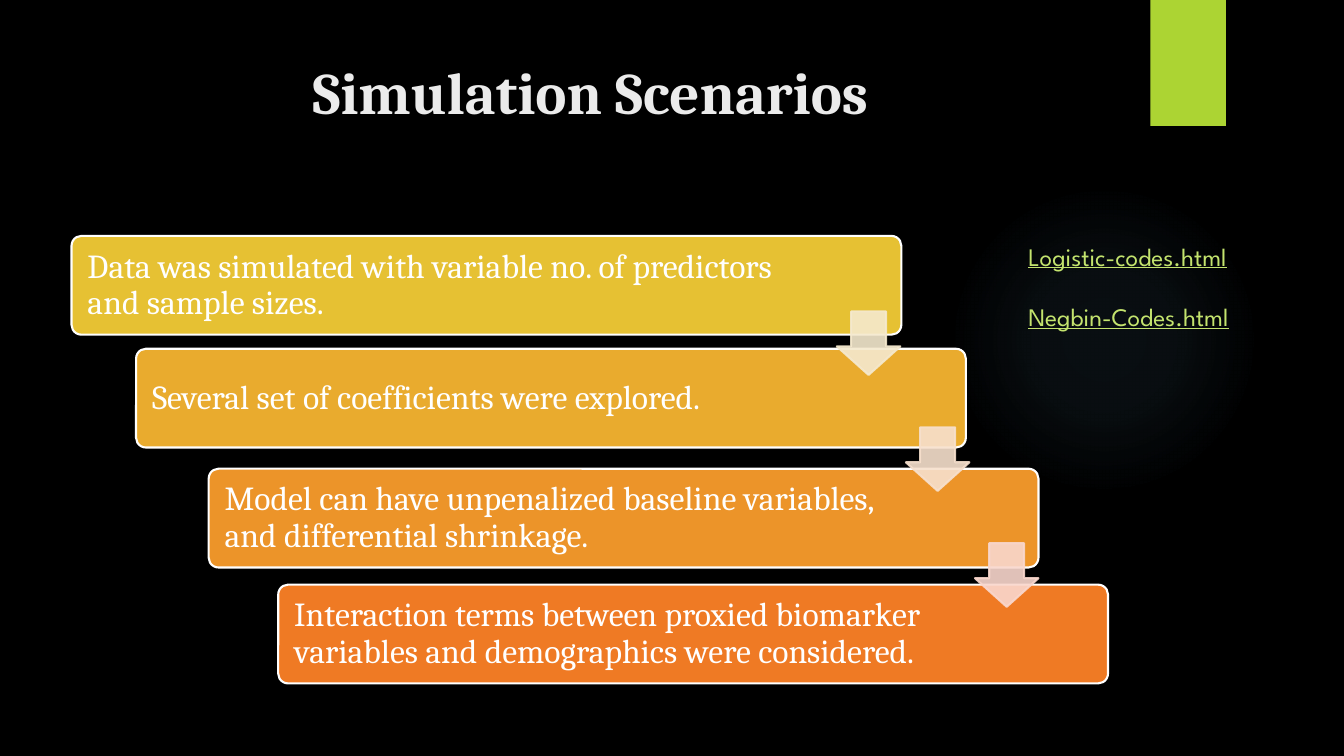
from lxml import etree
from pptx import Presentation
from pptx import util as u
from pptx.dml.color import RGBColor
from pptx.enum import shapes, text
from pptx.oxml import parse_xml
from pptx.oxml.ns import nsdecls, qn

BLACK = RGBColor(0x00, 0x00, 0x00)
WHITE = RGBColor(0xFF, 0xFF, 0xFF)
TITLE_GREY = RGBColor(0xEB, 0xEB, 0xEB)
GREEN = RGBColor(0xAC, 0xD4, 0x33)
LINK_GREEN = RGBColor(0xC4, 0xE4, 0x6E)
GLOW_BLUE = RGBColor(0x7A, 0xC4, 0xF0)
SHAPE = shapes.MSO_SHAPE

prs = Presentation()
prs.slide_width, prs.slide_height = u.Inches(13.33), u.Inches(7.5)
s = prs.slides.add_slide(prs.slide_layouts[5])
s.background.fill.solid()
s.background.fill.fore_color.rgb = BLACK


def add_box(kind, left, top, width, height, fill, line=None):
    sp = s.shapes.add_shape(kind, *map(u.Inches, (left, top, width, height)))
    sp.shadow.inherit = False
    sp.fill.solid()
    sp.fill.fore_color.rgb = fill
    if line is None:
        sp.line.fill.background()
    else:
        sp.line.color.rgb = line
        sp.line.width = u.Pt(1.5)
    return sp


def write(p, words, size, color, font="Cambria", bold=False, underline=False,
          align=text.PP_ALIGN.LEFT):
    p.alignment = align
    r = p.add_run()
    r.text = words
    f = r.font
    f.name, f.size, f.bold, f.underline = font, u.Pt(size), bold, underline
    f.color.rgb = color


# Faint round glow
glow = add_box(SHAPE.OVAL, 9.41, 1.83, 3.08, 3.08, GLOW_BLUE)
stops = "".join(
    f'<a:gs pos="{pos}000"><a:srgbClr val="{GLOW_BLUE}">'
    f'<a:alpha val="{alpha}000"/></a:srgbClr></a:gs>'
    for pos, alpha in ((0, 7), (36, 6), (69, 0)))
solid = glow._element.spPr.find(qn("a:solidFill"))
solid.getparent().replace(solid, parse_xml(
    f'<a:gradFill {nsdecls("a")}><a:gsLst>{stops}</a:gsLst><a:path path="circle">'
    '<a:fillToRect l="50000" t="50000" r="50000" b="50000"/></a:path></a:gradFill>'))

# Green tab at the top edge
add_box(SHAPE.RECTANGLE, 11.41, 0, 0.75, 1.25, GREEN)

# Title
title = s.shapes.title
title.left, title.top, title.width, title.height = map(u.Inches, (0.71, 0.5, 10.29, 1.53))
title.text_frame.vertical_anchor = text.MSO_ANCHOR.TOP
write(title.text_frame.paragraphs[0], "Simulation Scenarios", 42, TITLE_GREY,
      bold=True, align=text.PP_ALIGN.CENTER)

# Staircase of steps: left, top, right inset, fill, wording
steps = [
    (0.71, 2.34, 1.21, "E6C133",
     "Data was simulated with variable no. of predictors and sample sizes."),
    (1.35, 3.46, 1.45, "E9AB2E", "Several set of coefficients were explored."),
    (2.07, 4.65, 1.45, "EC9429",
     "Model can have unpenalized baseline variables, and differential shrinkage."),
    (2.76, 5.8, 1.45, "EF7A24",
     "Interaction terms between proxied biomarker variables and demographics were considered."),
]
for left, top, inset, fill, words in steps:
    step = add_box(SHAPE.ROUNDED_RECTANGLE, left, top, 8.23, 0.98,
                   RGBColor.from_string(fill), WHITE)
    step.adjustments[0] = 0.1
    tf = step.text_frame
    tf.word_wrap = True
    tf.vertical_anchor = text.MSO_ANCHOR.MIDDLE
    tf.margin_left, tf.margin_right = u.Inches(0.13), u.Inches(inset)
    tf.margin_top = tf.margin_bottom = u.Inches(0.05)
    tf.paragraphs[0].line_spacing = 0.9
    write(tf.paragraphs[0], words, 24, WHITE)

# Arrows from each step to the next
for i, tint in enumerate(("F5E9CE", "F7E0CD", "F9D7CD")):
    color = RGBColor.from_string(tint)
    arrow = add_box(SHAPE.DOWN_ARROW, 8.3 + 0.685 * i, 3.09 + 1.15 * i, 0.63, 0.63,
                    color, color)
    arrow.adjustments[0], arrow.adjustments[1] = 0.55, 0.45
    for clr in arrow._element.spPr.iter(qn("a:srgbClr")):
        etree.SubElement(clr, qn("a:alpha")).set("val", "90000")

# Code files
files = s.shapes.add_textbox(*map(u.Inches, (10.1, 2.34, 2.52, 1.62)))
tf = files.text_frame
tf.word_wrap = True
for i, name in enumerate(("Logistic-codes.html", "Negbin-Codes.html")):
    p = tf.add_paragraph() if i else tf.paragraphs[0]
    if i:
        p.space_before = u.Pt(21.5)
    write(p, name, 18, LINK_GREEN, font="League Spartan", underline=True)

prs.save("out.pptx")
